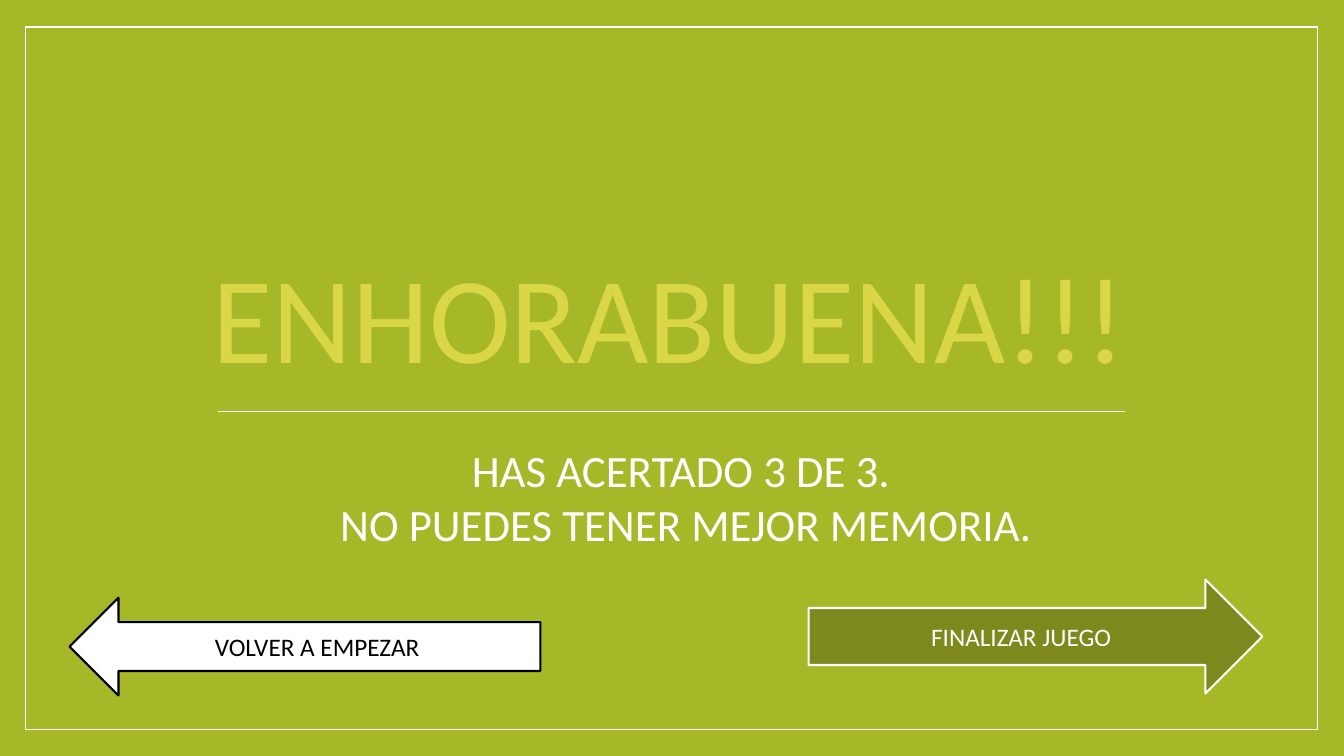
from lxml import etree
from pptx import Presentation
from pptx import util as u
from pptx.dml import color
from pptx.enum import shapes, text
from pptx.oxml import ns


def paint(target, shade):
    if hasattr(target, "solid"):
        target.solid()
        target = target.fore_color
    elif hasattr(target, "color"):
        target = target.color
    target.rgb = color.RGBColor.from_string(shade)


def write(shape, words, size=18, shade="FFFFFF", anchor="MIDDLE"):
    frame = shape.text_frame
    frame.word_wrap = True
    frame.auto_size = text.MSO_AUTO_SIZE.NONE
    frame.vertical_anchor = text.MSO_ANCHOR[anchor]
    frame.text = words
    for para in frame.paragraphs:
        para.alignment = text.PP_ALIGN.CENTER
        para.line_spacing = 1.0
        para.space_before = para.space_after = u.Pt(0)
        for run in para.runs:
            run.font.name = "Calibri"
            run.font.size = u.Pt(size)
            paint(run.font, shade)


deck = Presentation()
deck.slide_width = u.Inches(13.33)
deck.slide_height = u.Inches(7.5)
slide = deck.slides.add_slide(deck.slide_layouts[0])
paint(slide.background.fill, "A6B727")

title, score = slide.placeholders
for holder, box in ((title, (1.64, 1.2, 10, 2.7)), (score, (2.99, 4.34, 7.63, 1.18))):
    holder.left, holder.top, holder.width, holder.height = map(u.Inches, box)
write(title, "ENHORABUENA!!!", size=88, shade="D9D648", anchor="BOTTOM")
write(score, "HAS ACERTADO 3 DE 3. \nNO PUEDES TENER MEJOR MEMORIA.", size=32, anchor="TOP")

kind = shapes.MSO_SHAPE
border = slide.shapes.add_shape(kind.RECTANGLE, *map(u.Inches, (0.25, 0.27, 12.82, 6.97)))
border.shadow.inherit = False
border.fill.background()
paint(border.line, "FFFFFF")
border.line.width = u.Pt(1)

rule = slide.shapes.add_connector(
    shapes.MSO_CONNECTOR.STRAIGHT, *map(u.Inches, (2.16, 4.08, 11.16, 4.08)))
paint(rule.line, "FFFFFF")
rule.line.width = u.Pt(0.79)
etree.SubElement(rule.element.spPr, ns.qn("a:effectLst"))

for form, box, words, fill, ink in (
    (kind.LEFT_ARROW, (0.69, 5.93, 4.67, 0.97), "VOLVER A EMPEZAR", "FFFFFF", "000000"),
    (kind.RIGHT_ARROW, (8.02, 5.75, 4.5, 1.13), "FINALIZAR JUEGO", "7D891D", "FFFFFF"),
):
    arrow = slide.shapes.add_shape(form, *map(u.Inches, box))
    arrow.shadow.inherit = False
    paint(arrow.fill, fill)
    paint(arrow.line, ink)
    arrow.line.width = u.Pt(1.5)
    write(arrow, words, shade=ink)

deck.save("out.pptx")
